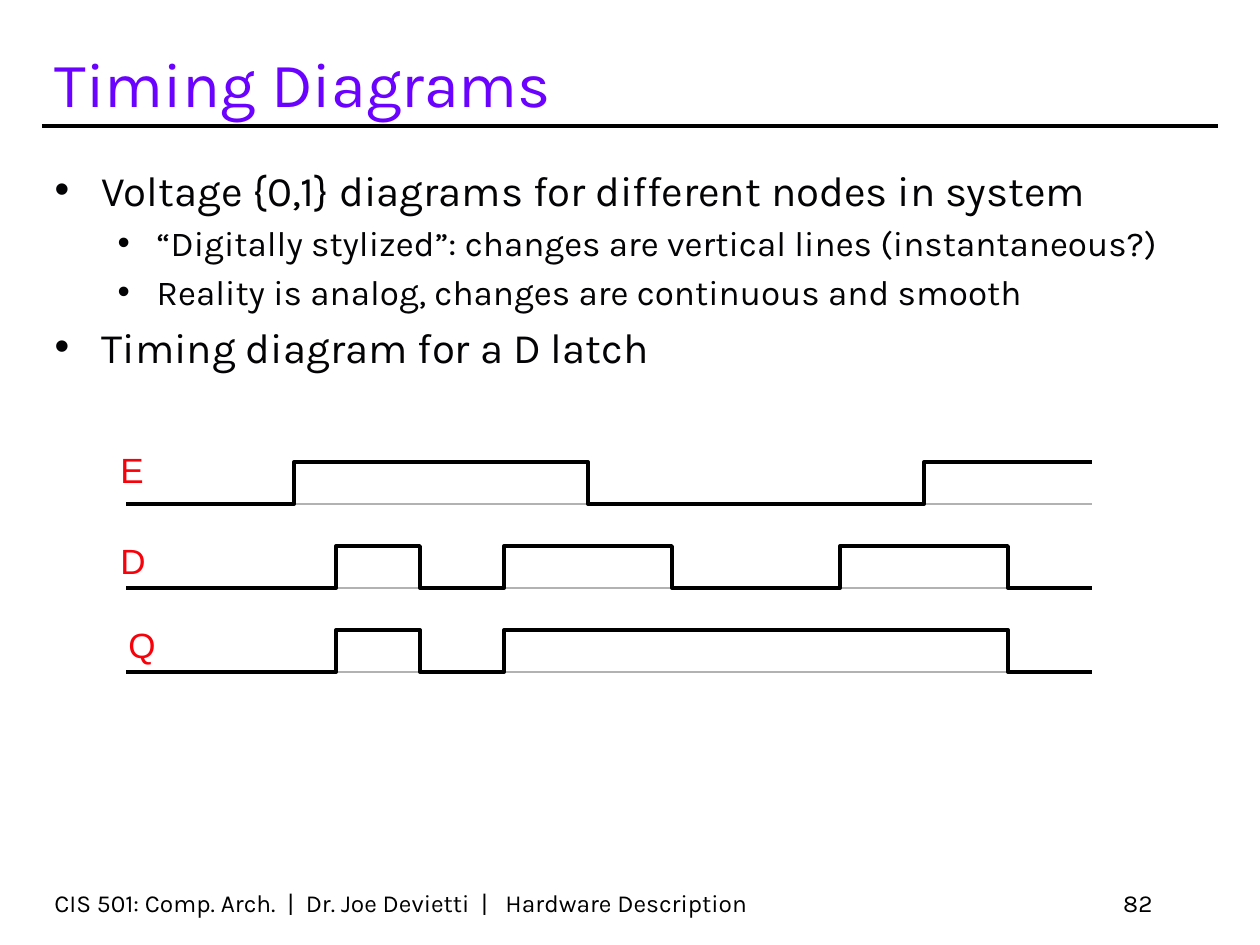
from typing import NamedTuple

from lxml.etree import SubElement
from pptx import Presentation
from pptx.dml.color import RGBColor
from pptx.enum.shapes import MSO_CONNECTOR
from pptx.enum.text import MSO_ANCHOR as Anchor, MSO_AUTO_SIZE as AutoSize, PP_ALIGN as Align
from pptx.oxml.ns import qn
from pptx.util import Emu, Pt

EMU_PER_PX = 914400 / 126
BLACK, INK, PURPLE, RED, GRAY = "000000", "030305", "6B02FF", "F7020B", "B2B2B2"

# Timing grid: one step is both a clock step and the height of a pulse
STEP, WAVE_LEFT, WAVE_STEPS = 42, 126, 23
WAVE_RIGHT = WAVE_LEFT + WAVE_STEPS * STEP
FIRST_BASE, SIGNAL_PITCH = 504, 2 * STEP


class Box(NamedTuple):
    left: int
    top: int
    width: int
    height: int


class Signal(NamedTuple):
    name: str
    label_box: Box
    edges: tuple[int, ...]  # steps at which the level flips, starting low


class Level(NamedTuple):
    size: int
    margin: int
    hanging: int
    before: float


class Bullet(NamedTuple):
    text: str
    level: int


SIGNALS = [
    Signal("E", Box(108, 442, 48, 54), (4, 11, 19)),
    Signal("D", Box(108, 533, 50, 54), (5, 7, 9, 13, 17, 21)),
    Signal("Q", Box(116, 617, 52, 54), (5, 7, 9, 21)),
]
LEVELS = [Level(24, 47, 47, 4.8), Level(20, 102, 39, 4)]
BULLETS = [
    Bullet("Voltage {0,1} diagrams for different nodes in system", 0),
    Bullet("“Digitally stylized”: changes are vertical lines (instantaneous?)", 1),
    Bullet("Reality is analog, changes are continuous and smooth", 1),
    Bullet("Timing diagram for a D latch", 0),
]


def px(n: float) -> Emu:
    return Emu(round(n * EMU_PER_PX))


def rgb(color: str) -> RGBColor:
    return RGBColor.from_string(color)


def place(sp, box: Box) -> None:
    sp.left, sp.top, sp.width, sp.height = map(px, box)


def add_run(p, text: str, size: int, color: str, font: str = "Karla") -> None:
    r = p.add_run()
    r.text = text
    r.font.size, r.font.name = Pt(size), font
    r.font.color.rgb = rgb(color)


def set_frame(sp, anchor: Anchor, wrap: bool = True):
    tf = sp.text_frame
    tf.auto_size, tf.word_wrap, tf.vertical_anchor = AutoSize.NONE, wrap, anchor
    return tf


def add_text(slide, box: Box, text: str, size: int, color: str, font: str = "Karla",
             anchor: Anchor = Anchor.TOP, align: Align = Align.LEFT, wrap: bool = True) -> None:
    sp = slide.shapes.add_textbox(*map(px, box))
    p = set_frame(sp, anchor, wrap).paragraphs[0]
    p.alignment = align
    add_run(p, text, size, color, font)


def add_rule(slide, left: int, right: int, y: int, color: str, weight: float) -> None:
    sp = slide.shapes.add_connector(MSO_CONNECTOR.STRAIGHT, px(left), px(y), px(right), px(y))
    sp.line.color.rgb, sp.line.width = rgb(color), Pt(weight)
    SubElement(sp._element.spPr, qn("a:effectLst"))


def add_bullet(p, bullet: Bullet, first: bool) -> None:
    level = LEVELS[bullet.level]
    p.level = bullet.level
    p.space_before = Pt(0 if first else level.before)
    pPr = p._p.get_or_add_pPr()
    pPr.set("marL", str(px(level.margin)))
    pPr.set("indent", str(-px(level.hanging)))
    SubElement(SubElement(pPr, qn("a:buClr")), qn("a:srgbClr"), val=INK)
    SubElement(pPr, qn("a:buFont"), typeface="Arial")
    SubElement(pPr, qn("a:buChar"), char="•")
    add_run(p, bullet.text, level.size, INK)


def add_wave(slide, base: int, edges: tuple[int, ...]) -> None:
    points, y = [], base
    for edge in edges:
        x = WAVE_LEFT + edge * STEP
        points.append((x, y))
        y = base - STEP if y == base else base
        points.append((x, y))
    points.append((WAVE_RIGHT, y))
    builder = slide.shapes.build_freeform(WAVE_LEFT, base, scale=EMU_PER_PX)
    builder.add_line_segments(points, close=False)
    sp = builder.convert_to_shape()
    sp.shadow.inherit = False
    sp.fill.background()
    sp.line.color.rgb, sp.line.width = rgb(BLACK), Pt(2.25)


def main() -> None:
    prs = Presentation()
    prs.slide_width, prs.slide_height = px(1260), px(945)
    slide = prs.slides.add_slide(prs.slide_layouts[1])

    # Title and its rule
    title, body = slide.placeholders
    place(title, Box(42, 32, 1113, 94))
    p = set_frame(title, Anchor.BOTTOM).paragraphs[0]
    p.alignment = Align.LEFT
    add_run(p, "Timing Diagrams", 36, PURPLE)
    add_rule(slide, 42, 1218, 126, BLACK, 2.25)

    # Bulleted list
    place(body, Box(42, 158, 1176, 286))
    tf = set_frame(body, Anchor.TOP)
    for i, bullet in enumerate(BULLETS):
        add_bullet(tf.add_paragraph() if i else tf.paragraphs[0], bullet, first=i == 0)

    # Footer and page number
    add_text(slide, Box(42, 882, 788, 42),
             "CIS 501: Comp. Arch.  |  Dr. Joe Devietti  |   Hardware Description",
             14, BLACK, anchor=Anchor.BOTTOM)
    add_text(slide, Box(903, 882, 262, 42), "82", 14, BLACK,
             anchor=Anchor.BOTTOM, align=Align.RIGHT)

    # Timing diagram: baseline, label and waveform of each signal
    for i, signal in enumerate(SIGNALS):
        base = FIRST_BASE + i * SIGNAL_PITCH
        add_rule(slide, WAVE_LEFT, WAVE_RIGHT, base, GRAY, 1.5)
        add_text(slide, signal.label_box, signal.name, 20, RED, "Arial", wrap=False)
        add_wave(slide, base, signal.edges)

    prs.save("out.pptx")


if __name__ == "__main__":
    main()
